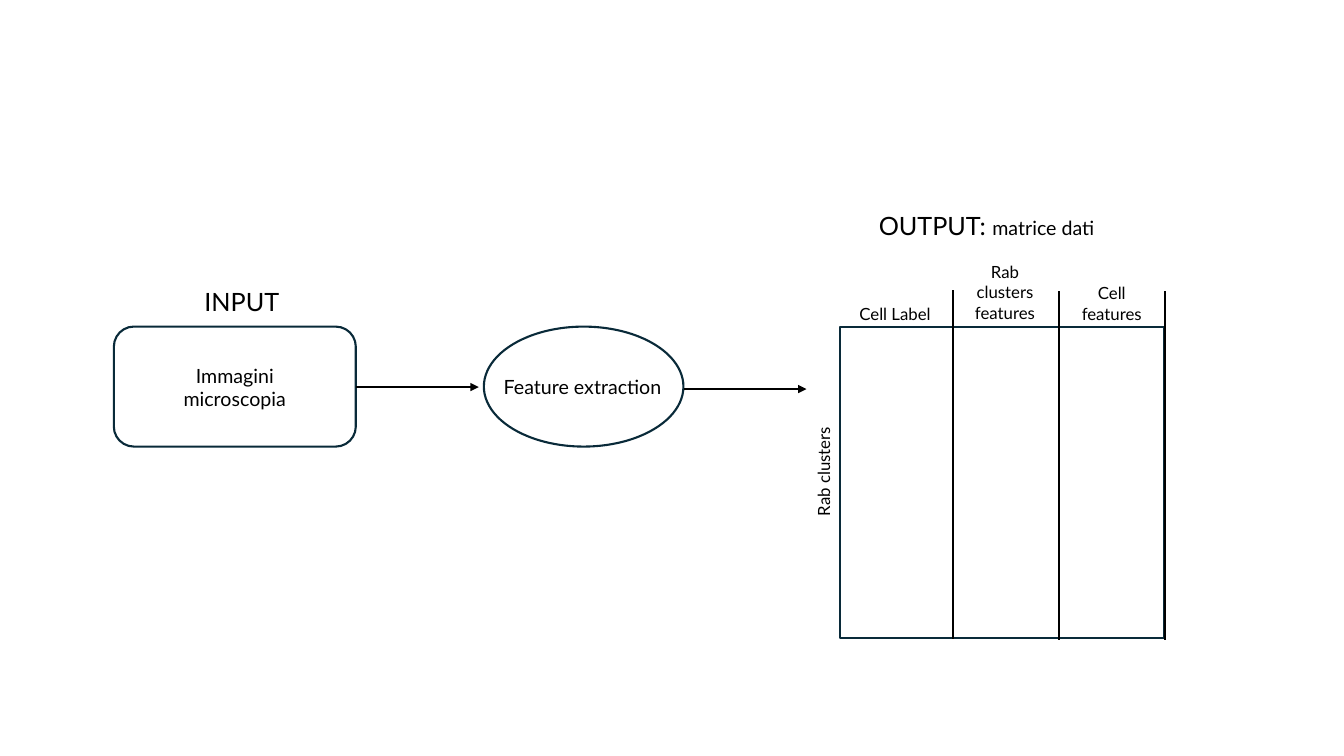
import dataclasses

import pptx
import pptx.dml.color
import pptx.enum.shapes
import pptx.enum.text
import pptx.oxml.ns
import pptx.slide
import pptx.util
from lxml import etree

BLACK = pptx.dml.color.RGBColor(0x00, 0x00, 0x00)
WHITE = pptx.dml.color.RGBColor(0xFF, 0xFF, 0xFF)
NAVY = pptx.dml.color.RGBColor(0x09, 0x2A, 0x39)
FONT = "Lato"
LINE_WIDTH = pptx.util.Pt(1.5)
COLUMNS, ROWS = 133.33, 75
CELL = pptx.util.Inches(0.1)
SHAPES = pptx.enum.shapes.MSO_SHAPE
ALIGN = pptx.enum.text.PP_ALIGN


@dataclasses.dataclass(frozen=True)
class Area:
    column: float
    row: float
    columns: float
    rows: float

    def lengths(self) -> tuple[int, ...]:
        return tuple(round(size * CELL) for size in dataclasses.astuple(self))


@dataclasses.dataclass(frozen=True)
class Outline:
    kind: pptx.enum.shapes.MSO_SHAPE
    area: Area


@dataclasses.dataclass(frozen=True)
class Label:
    area: Area
    phrases: tuple[tuple[str, int], ...]
    align: pptx.enum.text.PP_ALIGN = ALIGN.CENTER
    rotation: int = 0


@dataclasses.dataclass(frozen=True)
class Rule:
    start: tuple[float, float]
    end: tuple[float, float]
    arrow: bool = False


OUTLINES = (
    Outline(SHAPES.ROUNDED_RECTANGLE, Area(11.3, 32.4, 24, 11.9)),
    Outline(SHAPES.OVAL, Area(48, 32.4, 19.8, 11.9)),
    Outline(SHAPES.RECTANGLE, Area(83.3, 32.4, 32.2, 30.9)),
)
RULES = (
    Rule((35.3, 38.4), (47.5, 38.4), True),
    Rule((67.9, 38.6), (80, 38.6), True),
    Rule((94.5, 28.8), (94.5, 63.4)),
    *(Rule((column, 28.9), (column, 63.5)) for column in (105.1, 115.6)),
)
LABELS = (
    Label(Area(13.5, 35.6, 19.6, 5.7), (("Immagini microscopia", 14),)),
    Label(Area(48, 36.7, 19.6, 3.4), (("Feature extraction", 14),)),
    Label(Area(83.5, 29.6, 10.6, 3), (("Cell Label", 12),)),
    Label(Area(94.4, 25.5, 10.6, 7.1), (("Rab clusters features", 12),)),
    Label(Area(105, 27.6, 10.6, 5), (("Cell features", 12),)),
    Label(Area(19.3, 27.9, 10, 4), (("INPUT", 18),), ALIGN.LEFT),
    Label(Area(86.2, 20.4, 27, 4), (("OUTPUT: ", 18), ("matrice dati", 14)), ALIGN.LEFT),
    Label(Area(75.6, 44.6, 12.2, 3), (("Rab clusters", 12),), ALIGN.LEFT, 270),
)


def draw_outline(page: pptx.slide.Slide, outline: Outline) -> None:
    shape = page.shapes.add_shape(outline.kind, *outline.area.lengths())
    shape.shadow.inherit = False
    shape.fill.solid()
    shape.fill.fore_color.rgb = WHITE
    shape.line.color.rgb = NAVY
    shape.line.width = LINE_WIDTH


def draw_rule(page: pptx.slide.Slide, rule: Rule) -> None:
    ends = (round(place * CELL) for place in rule.start + rule.end)
    connector = page.shapes.add_connector(pptx.enum.shapes.MSO_CONNECTOR.STRAIGHT, *ends)
    connector.line.color.rgb = BLACK
    connector.line.width = LINE_WIDTH
    properties = connector.element.spPr
    if rule.arrow:
        stroke = properties.find(pptx.oxml.ns.qn("a:ln"))
        etree.SubElement(stroke, pptx.oxml.ns.qn("a:tailEnd"), type="triangle")
    etree.SubElement(properties, pptx.oxml.ns.qn("a:effectLst"))


def draw_label(page: pptx.slide.Slide, label: Label) -> None:
    box = page.shapes.add_textbox(*label.area.lengths())
    box.rotation = label.rotation
    box.text_frame.word_wrap = True
    box.text_frame.auto_size = pptx.enum.text.MSO_AUTO_SIZE.SHAPE_TO_FIT_TEXT
    para = box.text_frame.paragraphs[0]
    para.alignment = label.align
    for text, size in label.phrases:
        span = para.add_run()
        span.text = text
        span.font.name = FONT
        span.font.size = pptx.util.Pt(size)
        span.font.color.rgb = BLACK


def main() -> None:
    deck = pptx.Presentation()
    deck.slide_width = round(COLUMNS * CELL)
    deck.slide_height = ROWS * CELL
    page = deck.slides.add_slide(deck.slide_layouts[6])
    for outline in OUTLINES:
        draw_outline(page, outline)
    for rule in RULES:
        draw_rule(page, rule)
    for label in LABELS:
        draw_label(page, label)
    deck.save("out.pptx")


if __name__ == "__main__":
    main()
